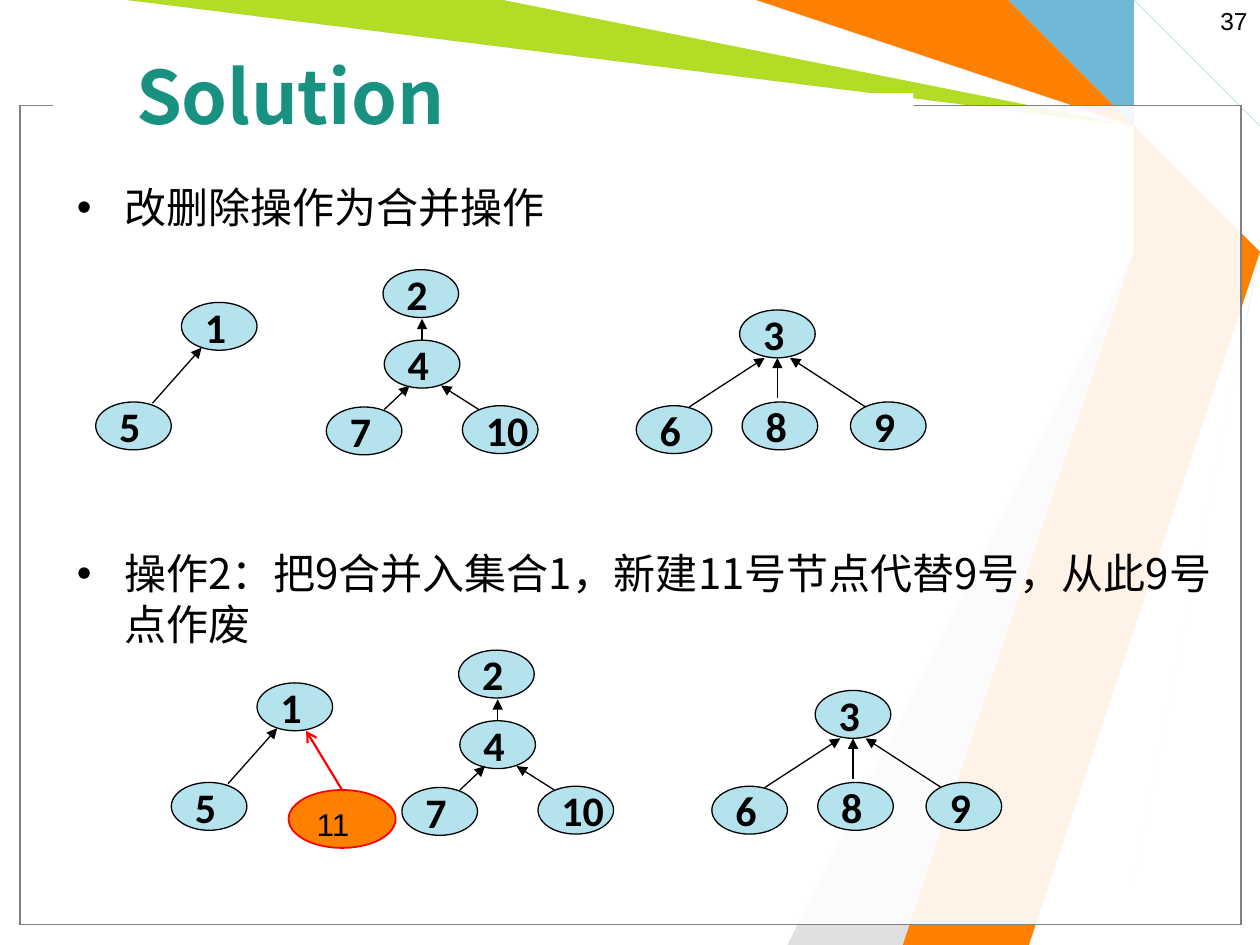
"""Build the slide on turning deletions into merges of disjoint sets."""
import lxml.etree
import pptx
import pptx.dml.color
import pptx.enum.shapes
import pptx.enum.text
import pptx.oxml
import pptx.oxml.ns
import pptx.util

Inches = pptx.util.Inches
Pt = pptx.util.Pt
RGBColor = pptx.dml.color.RGBColor
Shape = pptx.enum.shapes.MSO_SHAPE
Align = pptx.enum.text.PP_ALIGN
Anchor = pptx.enum.text.MSO_ANCHOR
qn = pptx.oxml.ns.qn

COLORS = {
    "black": "000000", "white": "FFFFFF", "gray": "808080", "silver": "E0E0E0",
    "blue": "6FB9D7", "lime": "B3DC27", "pale": "B4E3EE", "teal": "189180",
    "orange": "FF7F00", "vermilion": "F93D17", "red": "FF0000",
}
COLORS = {name: RGBColor.from_string(value) for name, value in COLORS.items()}
CJK = "Noto Sans CJK SC"


def write(frame, text, size=24, font="Calibri", color="black", bold=False,
          align=Align.LEFT, anchor=Anchor.TOP, wrap=True, first=True):
    """Add one formatted paragraph to a text frame."""
    frame.word_wrap = wrap
    frame.vertical_anchor = anchor
    paragraph = frame.paragraphs[0] if first else frame.add_paragraph()
    paragraph.alignment = align
    run = paragraph.add_run()
    run.text = text
    run.font.size = Pt(size)
    run.font.name = font
    run.font.bold = bold
    run.font.color.rgb = COLORS[color]
    east_asian = lxml.etree.SubElement(run.font._element, qn("a:ea"))
    east_asian.set("typeface", font)
    return paragraph


def draw_arrow(shapes, ends, source=None, color="black", width=0.75, head="triangle"):
    """Draw a straight arrow, joined to the top of the source when given."""
    arrow = shapes.add_connector(pptx.enum.shapes.MSO_CONNECTOR.STRAIGHT,
                                 *[Inches(value) for value in ends])
    if source is not None:
        arrow.begin_connect(source, 0)
    arrow.line.color.rgb = COLORS[color]
    arrow.line.width = Pt(width)
    tail = lxml.etree.SubElement(arrow.line._get_or_add_ln(), qn("a:tailEnd"))
    tail.set("type", head)
    lxml.etree.SubElement(arrow._element.spPr, qn("a:effectLst"))


presentation = pptx.Presentation()
presentation.slide_width = Inches(10)
presentation.slide_height = Inches(7.5)
slide = presentation.slides.add_slide(presentation.slide_layouts[1])
shapes = slide.shapes
title, body = shapes.placeholders

RIBBONS = [
    ("blue", [(8.92, 0), (9.29, 0.77), (9.58, 1.67), (9.11, 7.49), (8.56, 7.49),
              (9.5, 1.67), (9.17, 0.75), (8.38, 0)]),
    ("lime", [(1.17, 0), (3.83, 0), (9.14, 0.78), (9.42, 1.69), (7.42, 7.5),
              (6.92, 7.5), (9.35, 1.73), (9.01, 0.91)]),
    ("silver", [(6.67, 7.5), (9.27, 1.81), (6, 7.5)]),
    ("white", [(3.75, 0), (9.1, 0.82), (9.32, 1.62), (6.75, 7.5), (7, 7.5),
               (9.41, 1.58), (9.17, 0.75), (6, 0)]),
    ("pale", [(9.25, 0), (9.17, 0.17), (9.78, 1.2), (10, 1.25), (10, 1),
              (9.25, 0.17), (9.32, 0)]),
    ("teal", [(10, 0.83), (9.42, 0.25), (10, 0.67)]),
    ("orange", [(6.08, 0), (7.92, 0), (9.3, 0.7), (9.66, 1.69), (8.33, 7.5),
                (7.33, 7.5), (9.42, 1.58), (9.17, 0.75)]),
    ("vermilion", [(7.32, 7.5), (9.32, 1.83), (7.49, 7.5)]),
]
for color, points in RIBBONS:
    builder = shapes.build_freeform(*points[0], scale=Inches(1))
    builder.add_line_segments(points[1:], close=True)
    ribbon = builder.convert_to_shape()
    ribbon.shadow.inherit = False
    ribbon.fill.solid()
    ribbon.fill.fore_color.rgb = COLORS[color]
    ribbon.line.fill.background()

PANELS = [
    ((0.16, 0.84, 9.69, 6.5), "black", 69),
    ((0.16, 0.84, 9.69, 6.5), "gray", 69),
    ((0.42, 0.74, 6.83, 0.17), None, 100),
]
for box, outline, opacity in PANELS:
    panel = shapes.add_shape(Shape.RECTANGLE, *[Inches(value) for value in box])
    panel.shadow.inherit = False
    panel.fill.solid()
    panel.fill.fore_color.rgb = COLORS["white"]
    if opacity < 100:
        fill_color = panel._element.spPr.find(".//" + qn("a:srgbClr"))
        lxml.etree.SubElement(fill_color, qn("a:alpha")).set("val", str(opacity * 1000))
    if outline:
        panel.line.color.rgb = COLORS[outline]
        panel.line.width = Pt(0.75)
    else:
        panel.line.fill.background()

page_number = shapes.add_textbox(Inches(7.67), Inches(0), Inches(2.33), Inches(0.52))
write(page_number.text_frame, "37", size=14, font="Arial", align=Align.RIGHT)

PLACES = [(title, (0.98, 0.13, 7.4, 1.25)), (body, (0.51, 1.39, 9.21, 5.34))]
for placeholder, box in PLACES:
    placeholder.left, placeholder.top, placeholder.width, placeholder.height = map(Inches, box)
    placeholder.text_frame.auto_size = pptx.enum.text.MSO_AUTO_SIZE.NONE
    shapes._spTree.append(placeholder._element)
write(title.text_frame, "Solution", size=42, font=CJK, color="teal", bold=True,
      anchor=Anchor.MIDDLE)
STEPS = [
    ("改删除操作为合并操作", 0),
    ("操作2：把9合并入集合1，新建11号节点代替9号，从此9号点作废", 180),
]
for index, (text, gap) in enumerate(STEPS):
    paragraph = write(body.text_frame, text, font=CJK, first=index == 0)
    paragraph.space_before = Pt(gap)
    paragraph.line_spacing = Pt(29)

NODES = {
    "1": (1.44, 2.4), "5": (0.76, 3.19), "2": (3.04, 2.14), "4": (3.05, 2.7),
    "7": (2.59, 3.23), "10": (3.67, 3.22), "3": (5.87, 2.46), "6": (5.05, 3.22),
    "8": (5.89, 3.19), "9": (6.75, 3.19),
}
EDGES = [
    (1.21, 3.2, 1.6, 2.76), (3.05, 3.25, 3.25, 3.06), (3.8, 3.25, 3.5, 3.06),
    (5.47, 3.23, 6.07, 2.84), (6.17, 3.16, 6.17, 2.84), (6.87, 3.23, 6.27, 2.84),
]
for shift_x, shift_y in [(0, 0), (0.6, 3.02)]:
    forest = shapes.add_group_shape().shapes
    ellipses = {}
    for label, (left, top) in NODES.items():
        node = forest.add_shape(Shape.OVAL, Inches(left + shift_x), Inches(top + shift_y),
                                Inches(0.6), Inches(0.38))
        node.shadow.inherit = False
        node.fill.solid()
        node.fill.fore_color.rgb = COLORS["pale"]
        node.line.color.rgb = COLORS["black"]
        node.line.width = Pt(0.75)
        write(node.text_frame, label, bold=True, anchor=Anchor.MIDDLE, wrap=False)
        ellipses[label] = node
    for x1, y1, x2, y2 in EDGES:
        draw_arrow(forest, (x1 + shift_x, y1 + shift_y, x2 + shift_x, y2 + shift_y))
    draw_arrow(forest, (3.35 + shift_x, 2.7 + shift_y, 3.35 + shift_x, 2.53 + shift_y),
               source=ellipses["4"])

new_node = shapes.add_shape(Shape.OVAL, Inches(2.29), Inches(6.27), Inches(0.85), Inches(0.46))
new_node.shadow.inherit = False
new_node.fill.solid()
new_node.fill.fore_color.rgb = COLORS["orange"]
new_node.line.color.rgb = COLORS["red"]
new_node.line.width = Pt(1)
write(new_node.text_frame, "11", size=18, font="Arial")
draw_arrow(shapes, (2.72, 6.27, 2.43, 5.8), source=new_node, color="red", width=1.25,
           head="arrow")

presentation.save("out.pptx")
